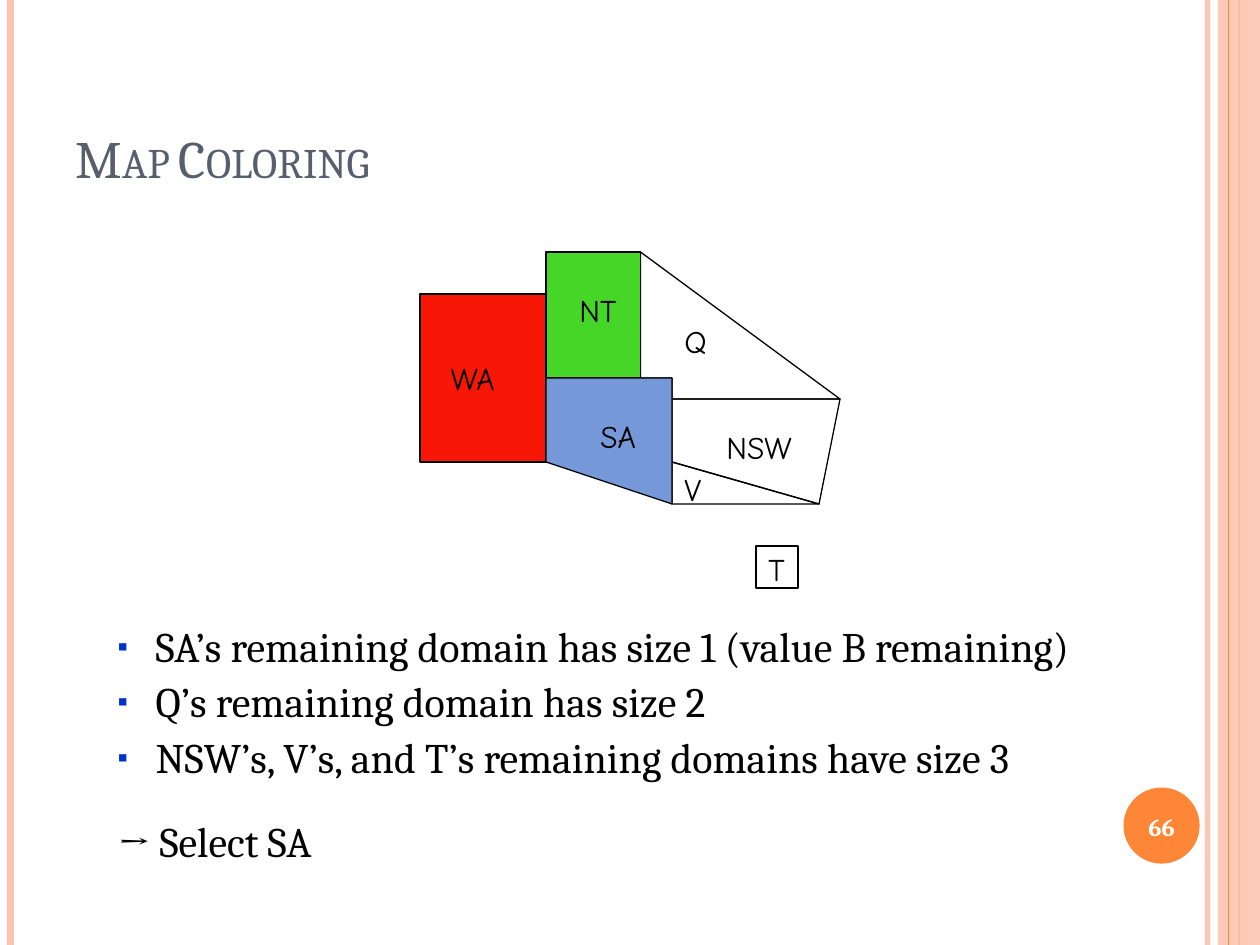
from typing import NamedTuple, Optional

from lxml.etree import SubElement
from pptx import Presentation
from pptx.dml.color import RGBColor
from pptx.enum.shapes import MSO_CONNECTOR, MSO_SHAPE
from pptx.enum.text import MSO_ANCHOR, MSO_AUTO_SIZE, PP_ALIGN
from pptx.oxml.ns import qn
from pptx.util import Pt

PX = 9525  # EMU in one px, 96 px to the inch
WIDTH, HEIGHT = 960, 720
SERIF, MAP_FONT = "Cambria", "Comic Neue"
COLORS = {
    "black": "000000", "white": "FFFFFF", "title": "575F6D", "bullet": "0033CC",
    "orange": "FE8637", "peach": "FEC3AE",
    "red": "F81706", "green": "45D628", "blue": "7598D9",
}


class Box(NamedTuple):
    x: int
    y: int
    w: int
    h: int

    def emu(self) -> list[int]:
        return [v * PX for v in self]


class Stripe(NamedTuple):
    x: int
    color: str
    width: float
    opacity: int = 100


class Region(NamedTuple):
    """A state drawn as a rectangle (box) or as a polygon (points)."""
    fill: Optional[str] = None
    box: Optional[Box] = None
    points: tuple = ()


class Label(NamedTuple):
    text: str
    box: Box


STRIPES_BELOW = [Stripe(920, "peach", 3, 93), Stripe(8, "peach", 4.5),
                 Stripe(944, "orange", 1.5)]
STRIPE_ABOVE = Stripe(936, "orange", 0.75)
BAND = Box(928, 0, 32, HEIGHT)

REGIONS = [
    Region(points=((488, 192), (640, 304), (512, 304), (512, 288), (488, 288))),  # Q
    Region(points=((512, 304), (512, 352), (624, 384), (640, 304))),  # NSW
    Region(points=((512, 352), (512, 384), (624, 384))),  # V
    Region(box=Box(576, 416, 32, 32)),  # T
    Region("red", Box(320, 224, 96, 128)),  # WA
    Region("green", Box(416, 192, 72, 96)),  # NT
    Region("blue", points=((416, 288), (512, 288), (512, 384), (416, 352))),  # SA
]
LABELS = [
    Label("Q", Box(512, 241, 40, 38)),
    Label("NSW", Box(544, 321, 81, 38)),
    Label("V", Box(512, 353, 35, 38)),
    Label("T", Box(576, 414, 36, 38)),
    Label("WA", Box(334, 269, 61, 38)),
    Label("NT", Box(432, 217, 55, 38)),
    Label("SA", Box(448, 313, 54, 38)),
]
DOMAINS = [
    "SA’s remaining domain has size 1 (value B remaining)",
    "Q’s remaining domain has size 2",
    "NSW’s, V’s, and T’s remaining domains have size 3",
]
CONCLUSION = "→ Select SA"


def rgb(name: str) -> RGBColor:
    return RGBColor.from_string(COLORS[name])


def set_opacity(element, percent: int) -> None:
    color = next(element.iter(qn("a:srgbClr")))
    SubElement(color, qn("a:alpha"), val=str(percent * 1000))


def add_run(p, text: str, color: str, **font):
    r = p.add_run()
    r.text = text
    r.font.color.rgb = rgb(color)
    for name, value in font.items():
        setattr(r.font, name, value)
    return r


def place(s, box: Box) -> None:
    for name, value in zip(("left", "top", "width", "height"), box.emu()):
        setattr(s, name, value)


def add_stripe(shapes, stripe: Stripe) -> None:
    x = stripe.x * PX
    s = shapes.add_connector(MSO_CONNECTOR.STRAIGHT, x, 0, x, HEIGHT * PX)
    s.line.color.rgb = rgb(stripe.color)
    s.line.width = Pt(stripe.width)
    if stripe.opacity < 100:
        set_opacity(s.line._ln, stripe.opacity)
    SubElement(s._element.spPr, qn("a:effectLst"))


def add_solid(shapes, kind: MSO_SHAPE, box: Box, color: str):
    s = shapes.add_shape(kind, *box.emu())
    s.shadow.inherit = False
    s.fill.solid()
    s.fill.fore_color.rgb = rgb(color)
    s.line.fill.background()
    return s


def add_region(shapes, region: Region) -> None:
    if region.box:
        s = shapes.add_shape(MSO_SHAPE.RECTANGLE, *region.box.emu())
    else:
        builder = shapes.build_freeform(*region.points[0], scale=PX)
        builder.add_line_segments(region.points[1:], close=True)
        s = builder.convert_to_shape()
    s.shadow.inherit = False
    if region.fill:
        s.fill.solid()
        s.fill.fore_color.rgb = rgb(region.fill)
    else:
        s.fill.background()
    s.line.color.rgb = rgb("black")
    s.line.width = Pt(0.75)


def add_label(shapes, label: Label) -> None:
    tf = shapes.add_textbox(*label.box.emu()).text_frame
    tf.word_wrap = False
    tf.auto_size = MSO_AUTO_SIZE.SHAPE_TO_FIT_TEXT
    add_run(tf.paragraphs[0], label.text, "black", name=MAP_FONT, size=Pt(18))


def add_page_number(shapes, number: str) -> None:
    add_solid(shapes, MSO_SHAPE.OVAL, Box(856, 600, 58, 58), "orange")
    tf = shapes.add_textbox(*Box(853, 602, 64, 55).emu()).text_frame
    tf.word_wrap = True
    tf.vertical_anchor = MSO_ANCHOR.MIDDLE
    p = tf.paragraphs[0]
    p.alignment = PP_ALIGN.CENTER
    add_run(p, number, "white", name=SERIF, size=Pt(14), bold=True)


def fill_title(s, text: str) -> None:
    place(s, Box(48, 29, 784, 120))
    tf = s.text_frame
    tf.auto_size = MSO_AUTO_SIZE.NONE
    tf.vertical_anchor = MSO_ANCHOR.BOTTOM
    p = tf.paragraphs[0]
    p.alignment = PP_ALIGN.LEFT
    r = add_run(p, text, "title", name=SERIF, size=Pt(30))
    r.font._element.set("cap", "small")


def set_bullet(p, bulleted: bool) -> None:
    pPr = p._p.get_or_add_pPr()
    pPr.set("marL", str(29 * PX))
    pPr.set("indent", str(-29 * PX))
    if bulleted:
        color = SubElement(pPr, qn("a:buClr"))
        SubElement(color, qn("a:srgbClr"), val=COLORS["bullet"])
        SubElement(pPr, qn("a:buSzPct"), val="70000")
        SubElement(pPr, qn("a:buChar"), char="▪")
    else:
        SubElement(pPr, qn("a:buNone"))


def fill_body(s) -> None:
    place(s, Box(80, 472, 880, 216))
    tf = s.text_frame
    tf.auto_size = MSO_AUTO_SIZE.NONE
    for i, text in enumerate([*DOMAINS, CONCLUSION]):
        p = tf.add_paragraph() if i else tf.paragraphs[0]
        concluding = text == CONCLUSION
        set_bullet(p, not concluding)
        p.line_spacing = 0.9
        p.space_before = Pt(22 if concluding else 6 if i else 0)
        add_run(p, text, "black", name=SERIF, size=Pt(24))


def main() -> None:
    prs = Presentation()
    prs.slide_width, prs.slide_height = WIDTH * PX, HEIGHT * PX
    slide = prs.slides.add_slide(prs.slide_layouts[1])
    shapes = slide.shapes
    for stripe in STRIPES_BELOW:
        add_stripe(shapes, stripe)
    band = add_solid(shapes, MSO_SHAPE.RECTANGLE, BAND, "peach")
    set_opacity(band._element.spPr, 87)
    add_stripe(shapes, STRIPE_ABOVE)
    add_page_number(shapes, "66")
    fill_title(shapes.title, "Map Coloring")
    fill_body(slide.placeholders[1])
    for region in REGIONS:
        add_region(shapes, region)
    for label in LABELS:
        add_label(shapes, label)
    prs.save("out.pptx")


if __name__ == "__main__":
    main()
